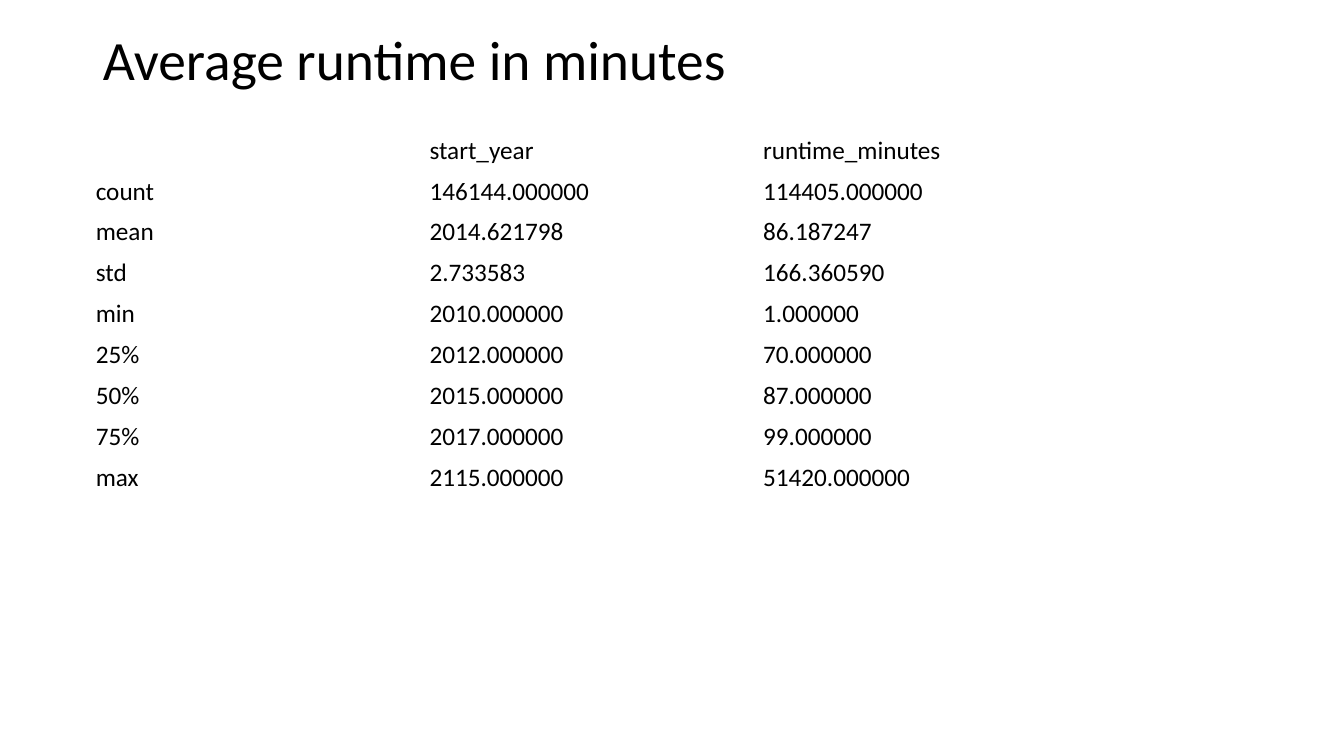
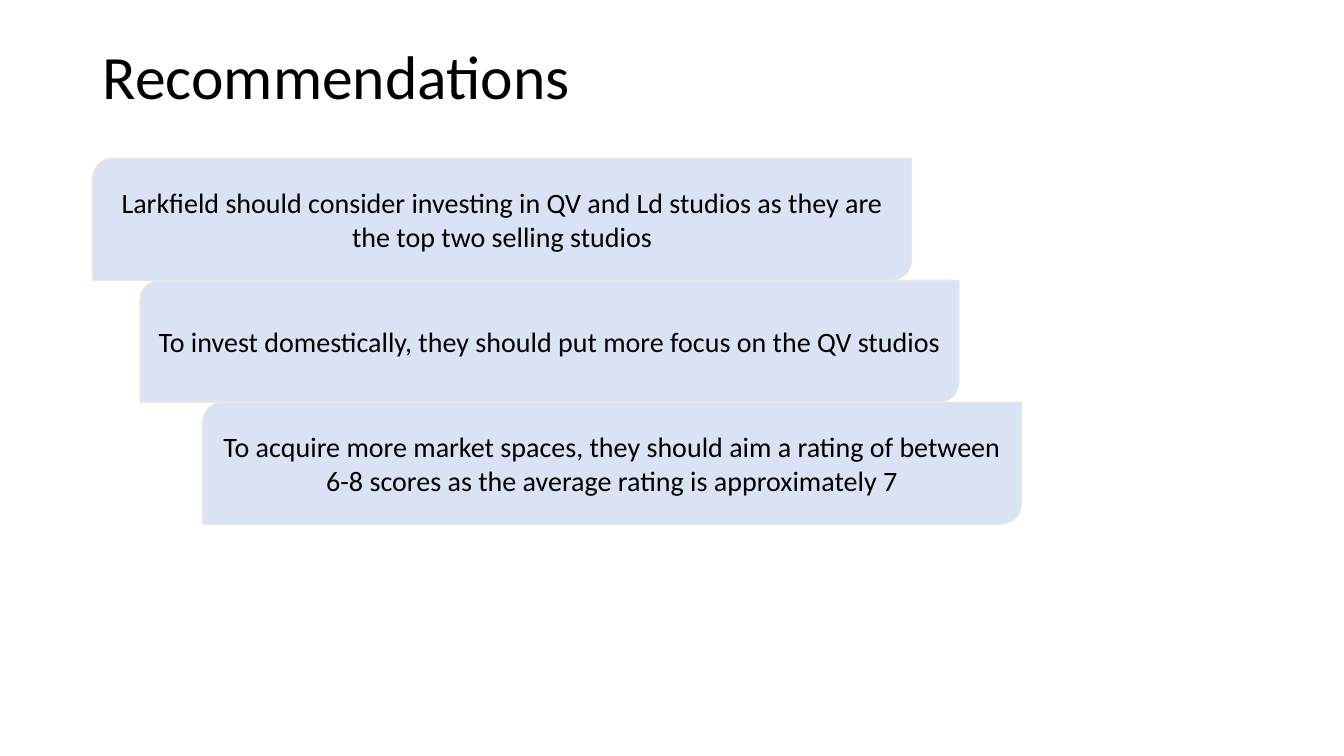
from dataclasses import dataclass

from pptx import Presentation
from pptx.dml.color import RGBColor
from pptx.enum.shapes import MSO_SHAPE as Preset
from pptx.enum.text import MSO_ANCHOR as Anchor, MSO_AUTO_SIZE as AutoSize, PP_ALIGN as Align
from pptx.util import Inches, Pt


@dataclass(frozen=True)
class Theme:
    font: str = "Calibri"
    ink: RGBColor = RGBColor(0x00, 0x00, 0x00)
    panel: RGBColor = RGBColor(0xDA, 0xE3, 0xF3)
    outline: RGBColor = RGBColor(0xE7, 0xE6, 0xE6)
    title_size: float = 44
    small_title_size: float = 39.6
    panel_size: float = 20
    table_size: float = 18


THEME = Theme()


def write_text(frame, text, size, align=Align.LEFT, line_spacing=None):
    """Put one formatted paragraph in a text frame."""
    para = frame.paragraphs[0]
    para.alignment = align
    para.line_spacing = line_spacing
    span = para.add_run()
    span.text = text
    span.font.name = THEME.font
    span.font.size = Pt(size)
    span.font.color.rgb = THEME.ink


class SlideBuilder:
    """Holds the deck and the page being built."""

    def __init__(self):
        self.deck = Presentation()
        self.deck.slide_width = Inches(13.33)
        self.deck.slide_height = Inches(7.5)
        self.page = None

    def add_page(self, title, height, size):
        title_only = self.deck.slide_layouts[5]
        self.page = self.deck.slides.add_slide(title_only)
        box = self.page.shapes.title
        box.left, box.top = Inches(0.92), Inches(0.4)
        box.width, box.height = Inches(11.5), Inches(height)
        frame = box.text_frame
        frame.auto_size = AutoSize.NONE
        frame.word_wrap = True
        frame.vertical_anchor = Anchor.MIDDLE
        write_text(frame, title, size=size, line_spacing=0.9)

    def add_table(self, rows, left, top, column_width, row_height):
        columns = len(rows[0])
        table = self.page.shapes.add_table(
            len(rows), columns, Inches(left), Inches(top),
            Inches(column_width * columns), Inches(row_height * len(rows))).table
        table.first_row = False
        table.horz_banding = False
        for column in table.columns:
            column.width = Inches(column_width)
        for row_index, values in enumerate(rows):
            for column_index, value in enumerate(values):
                cell = table.cell(row_index, column_index)
                cell.fill.background()
                cell.vertical_anchor = Anchor.MIDDLE
                if value:
                    write_text(cell.text_frame, value, size=THEME.table_size)

    def add_panel(self, text, left, top, width, height):
        panel = self.page.shapes.add_shape(
            Preset.ROUND_2_DIAG_RECTANGLE,
            Inches(left), Inches(top), Inches(width), Inches(height))
        panel.shadow.inherit = False
        panel.fill.solid()
        panel.fill.fore_color.rgb = THEME.panel
        panel.line.color.rgb = THEME.outline
        panel.line.width = Pt(1)
        frame = panel.text_frame
        frame.word_wrap = True
        frame.vertical_anchor = Anchor.MIDDLE
        write_text(frame, text, size=THEME.panel_size, align=Align.CENTER)


RUNTIME_ROWS = [
    ("", "start_year", "runtime_minutes"),
    ("count", "146144.000000", "114405.000000"),
    ("mean", "2014.621798", "86.187247"),
    ("std", "2.733583", "166.360590"),
    ("min", "2010.000000", "1.000000"),
    ("25%", "2012.000000", "70.000000"),
    ("50%", "2015.000000", "87.000000"),
    ("75%", "2017.000000", "99.000000"),
    ("max", "2115.000000", "51420.000000"),
]

# Left edge and wording of each step
RECOMMENDATIONS = [
    (0.92, "Larkfield should consider investing in QV and Ld studios as they are "
           "the top two selling studios"),
    (1.39, "To invest domestically, they should put more focus on the QV studios"),
    (2.01, "To acquire more market spaces, they should aim a rating of between "
           "6-8 scores as the average rating is approximately 7"),
]


def main():
    builder = SlideBuilder()

    # Runtime statistics
    builder.add_page("Average runtime in minutes", height=0.44, size=THEME.small_title_size)
    builder.add_table(RUNTIME_ROWS, left=0.85, top=1.29, column_width=3.31, row_height=0.4)

    # Stepped recommendations, stacked without gaps
    builder.add_page("Recommendations", height=0.78, size=THEME.title_size)
    panel_height = 1.21
    for index, (left, text) in enumerate(RECOMMENDATIONS):
        builder.add_panel(text, left=left, top=1.57 + index * panel_height,
                          width=8.12, height=panel_height)

    builder.deck.save("out.pptx")


if __name__ == "__main__":
    main()
